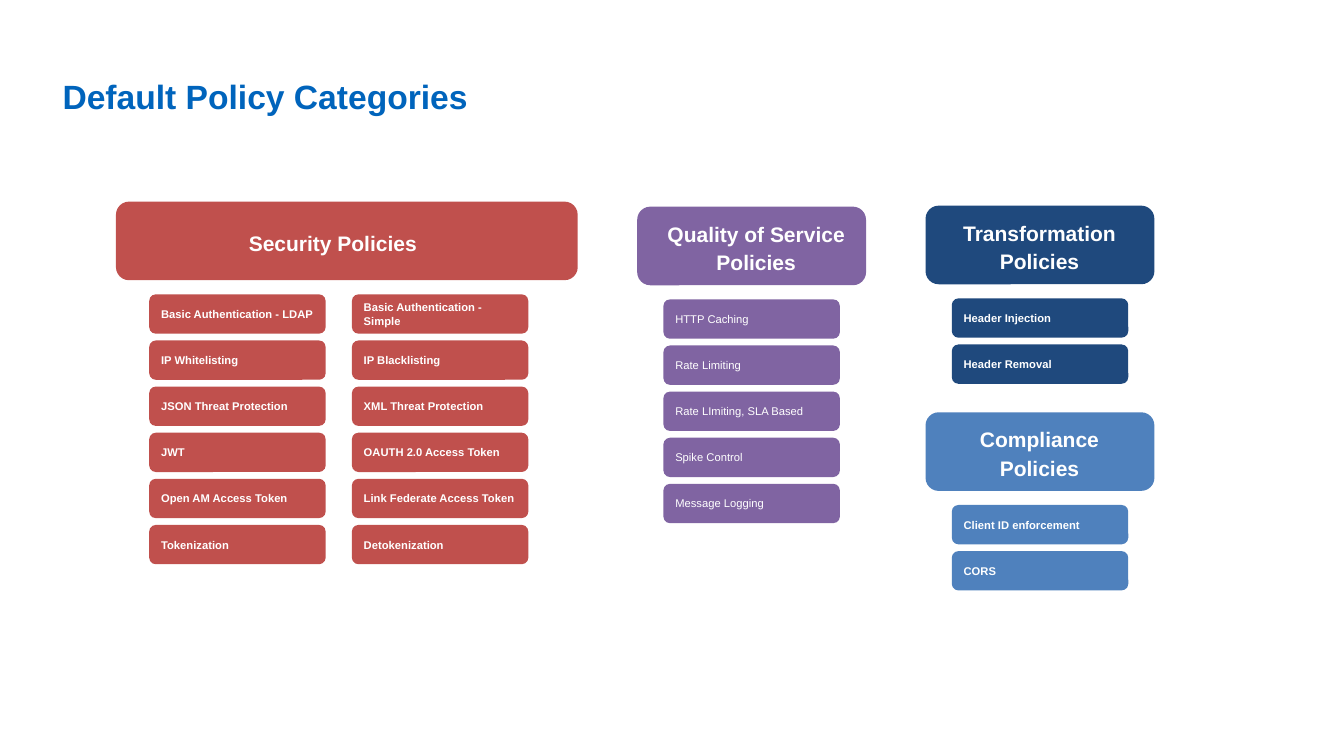
"""Build the Default Policy Categories slide."""
from dataclasses import dataclass

from pptx import Presentation
from pptx import util as u
from pptx.dml.color import RGBColor
from pptx.enum import shapes, text

WHITE = "FFFFFF"
HEADER_HEIGHT = 0.78
POLICY_WIDTH, POLICY_HEIGHT = 1.75, 0.39
ROW_PITCH = 1.83 / 4
COLUMN_PITCH = 2.01


@dataclass(frozen=True)
class Category:
    """A coloured heading and the columns of policies below it."""
    heading: str
    color: str
    left: float
    top: float
    columns: tuple[tuple[str, ...], ...]
    indent: float = 0.26
    width: float = 2.27
    label_offset: float = 0.04
    label_width: float = 2.18
    centered: bool = True
    bold_policies: bool = True


CATEGORIES = (
    Category(
        "Security Policies", "C0504D", 1.15, 2.0,
        (("Basic Authentication - LDAP", "IP Whitelisting", "JSON Threat Protection",
          "JWT", "Open AM Access Token", "Tokenization"),
         ("Basic Authentication - Simple", "IP Blacklisting", "XML Threat Protection",
          "OAUTH 2.0 Access Token", "Link Federate Access Token", "Detokenization")),
        indent=0.33, width=4.58, label_offset=1.22, label_width=3.36, centered=False),
    Category(
        "Quality of Service Policies", "8064A2", 6.32, 2.05,
        (("HTTP Caching", "Rate Limiting", "Rate LImiting, SLA Based",
          "Spike Control", "Message Logging"),),
        label_offset=0.09, bold_policies=False),
    Category("Transformation Policies", "1F497D", 9.18, 2.04,
             (("Header Injection", "Header Removal"),)),
    Category("Compliance Policies", "4F81BD", 9.18, 4.09,
             (("Client ID enforcement", "CORS"),)),
)


def rgb(color: str) -> RGBColor:
    """Turn a hex string into a colour."""
    return RGBColor.from_string(color)


def write(shape, wording: str, size: float, color: str = WHITE, bold: bool = True,
          align=text.PP_ALIGN.LEFT, anchor=text.MSO_ANCHOR.MIDDLE,
          margin: float = 0.1, spacing: float = 1.0) -> None:
    """Put one formatted paragraph into a shape."""
    frame = shape.text_frame
    frame.text = wording
    frame.word_wrap = True
    frame.auto_size = text.MSO_AUTO_SIZE.NONE
    frame.vertical_anchor = anchor
    frame.margin_left = frame.margin_right = u.Inches(margin)
    frame.margin_top = frame.margin_bottom = u.Inches(margin)
    paragraph = frame.paragraphs[0]
    paragraph.alignment = align
    paragraph.line_spacing = spacing
    font = paragraph.runs[0].font
    font.name, font.size, font.bold = "Arial", u.Pt(size), bold
    font.color.rgb = rgb(color)


def add_panel(slide, left: float, top: float, width: float, height: float, color: str):
    """Add a plain rounded panel."""
    panel = slide.shapes.add_shape(
        shapes.MSO_SHAPE.FLOWCHART_ALTERNATE_PROCESS,
        u.Inches(left), u.Inches(top), u.Inches(width), u.Inches(height))
    panel.shadow.inherit = False
    panel.fill.solid()
    panel.fill.fore_color.rgb = rgb(color)
    panel.line.fill.background()
    return panel


def add_category(slide, category: Category) -> None:
    """Draw a category heading with its policies."""
    add_panel(slide, category.left, category.top, category.width, HEADER_HEIGHT,
              category.color)
    heading = slide.shapes.add_textbox(
        u.Inches(category.left + category.label_offset), u.Inches(category.top + 0.26),
        u.Inches(category.label_width), u.Inches(0.27))
    align = text.PP_ALIGN.CENTER if category.centered else text.PP_ALIGN.LEFT
    write(heading, category.heading, 15, align=align, spacing=1.14)
    for column, policies in enumerate(category.columns):
        for row, policy in enumerate(policies):
            panel = add_panel(
                slide, category.left + category.indent + column * COLUMN_PITCH,
                category.top + 0.92 + row * ROW_PITCH,
                POLICY_WIDTH, POLICY_HEIGHT, category.color)
            write(panel, policy, 8, bold=category.bold_policies)


def main() -> None:
    """Create and save the presentation."""
    deck = Presentation()
    deck.slide_width, deck.slide_height = u.Inches(13.33), u.Inches(7.5)
    slide = deck.slides.add_slide(deck.slide_layouts[5])
    title = slide.shapes.title
    title.left, title.top = u.Inches(0.62), u.Inches(0.07)
    title.width, title.height = u.Inches(9.7), u.Inches(1.08)
    write(title, "Default Policy Categories", 24, "0064BC",
          anchor=text.MSO_ANCHOR.BOTTOM, margin=0)
    for category in CATEGORIES:
        add_category(slide, category)
    deck.save("out.pptx")


if __name__ == "__main__":
    main()
